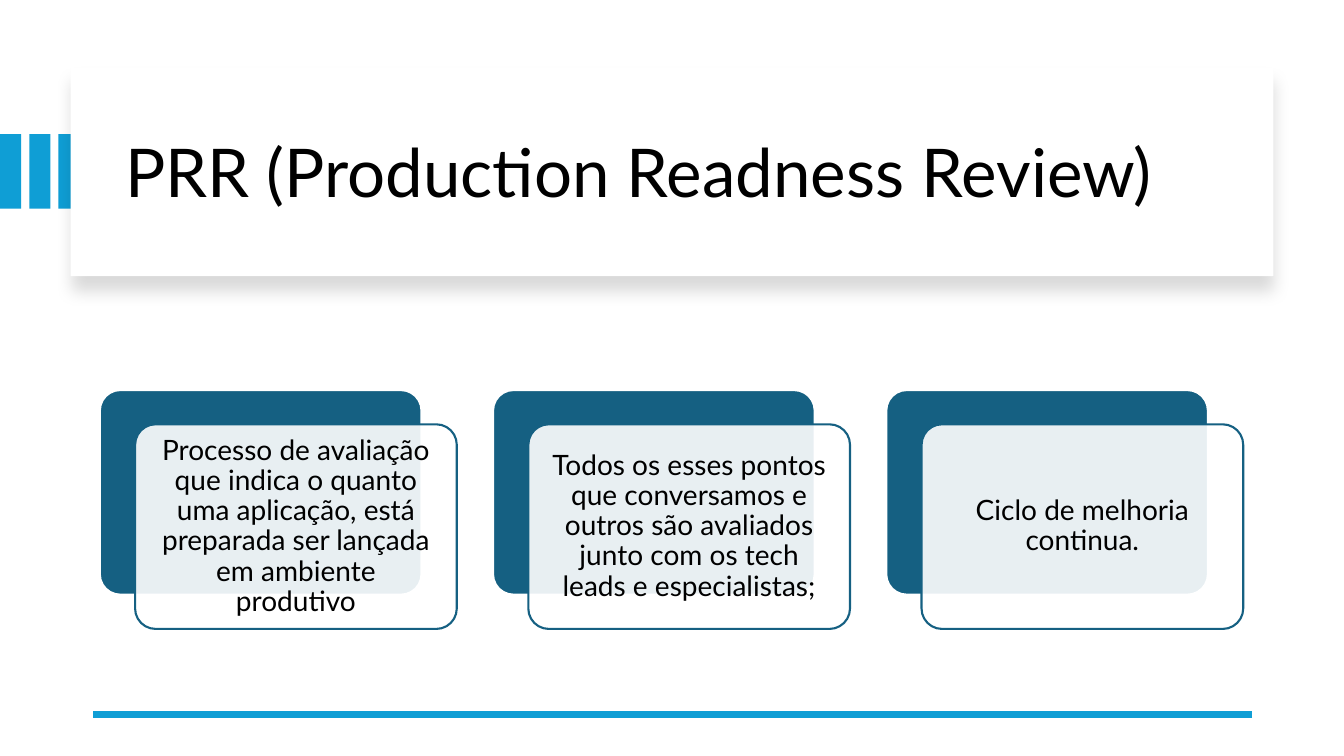
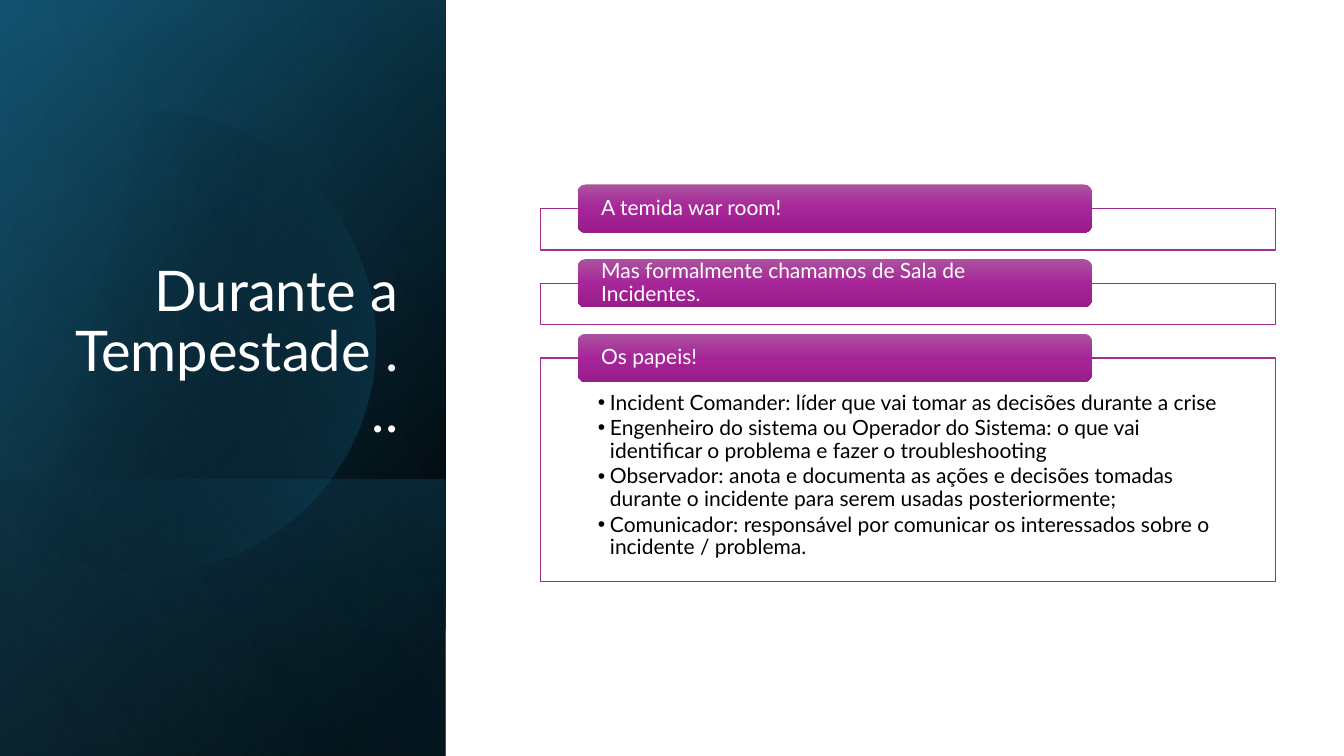
from math import acos, cos, pi, sin

from lxml.etree import SubElement
from pptx import Presentation
from pptx.dml.color import RGBColor
from pptx.enum.shapes import MSO_CONNECTOR, MSO_SHAPE
from pptx.enum.text import MSO_ANCHOR, MSO_AUTO_SIZE, PP_ALIGN
from pptx.oxml.ns import qn
from pptx.util import Pt

PX = 9144  # 100 px to the inch
PAGE_WIDTH, PAGE_HEIGHT = 1333, 750
FONT = "Lato"
NO_BREAK_SPACE = chr(160)

BLACK = RGBColor(0x00, 0x00, 0x00)
WHITE = RGBColor(0xFF, 0xFF, 0xFF)
SKY = RGBColor(0x0F, 0x9E, 0xD5)
TEAL = RGBColor(0x15, 0x60, 0x82)
DEEP_TEAL = RGBColor(0x10, 0x48, 0x62)
PALE_BLUE = RGBColor(0x46, 0xB1, 0xE1)
PURPLE = RGBColor(0xA0, 0x2B, 0x93)
TAG_STOPS = [
    (0, RGBColor(0xAC, 0x53, 0xA0), 100),
    (50, RGBColor(0xA6, 0x25, 0x98), 100),
    (100, RGBColor(0x99, 0x1C, 0x8B), 100),
]

CARDS = [
    "Processo de avaliação que indica o quanto uma aplicação, está preparada "
    "ser lançada em ambiente produtivo",
    "Todos os esses pontos que conversamos e outros são avaliados junto com "
    "os tech leads e especialistas;",
    "Ciclo de melhoria continua.",
]
ROLES = [
    "Incident Comander: líder que vai tomar as decisões durante a crise",
    "Engenheiro do sistema ou Operador do Sistema: o que vai identificar o "
    "problema e fazer o troubleshooting",
    "Observador: anota e documenta as ações e decisões tomadas durante o "
    "incidente para serem usadas posteriormente;",
    "Comunicador: responsável por comunicar os interessados sobre o "
    "incidente / problema.",
]
SECTIONS = [
    ("A temida war room!", []),
    ("Mas formalmente chamamos de Sala de Incidentes.", []),
    ("Os papeis!", ROLES),
]


def scaled(box):
    return [length * PX for length in box]


def place(shape, box):
    shape.left, shape.top, shape.width, shape.height = scaled(box)


def set_alpha(color, percent):
    SubElement(color, qn("a:alpha"), val=str(percent * 1000))


def paint(shape, fill, line=None, width=1, alpha=100):
    shape.fill.solid()
    shape.fill.fore_color.rgb = fill
    if alpha < 100:
        solid = shape.element.spPr.find(qn("a:solidFill"))
        set_alpha(solid.find(qn("a:srgbClr")), alpha)
    if line is None:
        shape.line.fill.background()
    else:
        shape.line.color.rgb = line
        shape.line.width = Pt(width)


def paint_gradient(shape, stops, angle):
    """Fill with (position, colour, opacity) stops; the angle runs clockwise."""
    shape.line.fill.background()
    shape.fill.gradient()
    shape.fill.gradient_angle = (360 - angle) % 360
    stop_list = shape.element.spPr.find(qn("a:gradFill")).find(qn("a:gsLst"))
    for stop in list(stop_list):
        stop_list.remove(stop)
    for position, color, opacity in stops:
        stop = SubElement(stop_list, qn("a:gs"), pos=str(position * 1000))
        set_alpha(SubElement(stop, qn("a:srgbClr"), val=str(color)), opacity)


def add_box(page, box, kind=MSO_SHAPE.RECTANGLE):
    shape = page.shapes.add_shape(kind, *scaled(box))
    shape.shadow.inherit = False
    return shape


def set_frame(shape, insets, anchor):
    frame = shape.text_frame
    frame.word_wrap = True
    frame.auto_size = MSO_AUTO_SIZE.NONE
    frame.vertical_anchor = anchor
    (frame.margin_left, frame.margin_top,
     frame.margin_right, frame.margin_bottom) = scaled(insets)
    return frame


def write(para, text, size, color, align=PP_ALIGN.LEFT, after=0):
    para.alignment = align
    para.line_spacing = 0.9
    para.space_before = Pt(0)
    para.space_after = Pt(after)
    span = para.add_run()
    span.text = text
    span.font.name = FONT
    span.font.size = Pt(size)
    span.font.color.rgb = color


def set_title(page, box, text, size, color, align, anchor):
    title = page.shapes.title
    place(title, box)
    frame = set_frame(title, (10, 5, 10, 5), anchor)
    write(frame.paragraphs[0], text, size, color, align)
    page.shapes.element.append(title.element)  # in front of its backdrop


def add_banner(page, box):
    """Sky-blue stripes running under a white panel with a soft shadow."""
    left, top, width, height = box
    for index in range(3):
        paint(add_box(page, (index * 29, top + 66, 21, 74)), SKY)
    panel = add_box(page, box)
    paint(panel, WHITE)
    effects = panel.element.spPr.find(qn("a:effectLst"))
    shadow = SubElement(
        effects, qn("a:outerShdw"), blurRad=str(Pt(11)), dist=str(Pt(10)),
        dir=str(90 * 60000), algn="t", rotWithShape="0")
    set_alpha(SubElement(shadow, qn("a:srgbClr"), val=str(BLACK)), 15)
    set_title(page, (left + 44, top + 22, width - 80, height - 37),
              "PRR (Production Readness Review)", 48, BLACK,
              PP_ALIGN.LEFT, MSO_ANCHOR.MIDDLE)


def add_rule(page, left, right, y):
    rule = page.shapes.add_connector(
        MSO_CONNECTOR.STRAIGHT, *scaled((right, y, left, y)))
    rule.line.color.rgb = SKY
    rule.line.width = Pt(4.5)
    SubElement(rule.element.spPr, qn("a:effectLst"))


def add_card(page, box, text):
    left, top, width, height = box
    back = add_box(page, box, MSO_SHAPE.ROUNDED_RECTANGLE)
    paint(back, TEAL, WHITE, 1.5)
    front = add_box(page, (left + 35, top + 34, width, height),
                    MSO_SHAPE.ROUNDED_RECTANGLE)
    paint(front, WHITE, TEAL, 1.5, alpha=90)
    back.adjustments[0] = front.adjustments[0] = 0.1
    frame = set_frame(front, (14, 14, 14, 14), MSO_ANCHOR.MIDDLE)
    write(frame.paragraphs[0], text, 20, BLACK, PP_ALIGN.CENTER)


def add_turned_layer(page, box, stops, angle):
    """Cover the box with a mirrored rectangle given a quarter turn."""
    left, top, width, height = box
    shift = (width - height) // 2
    layer = add_box(page, (left + shift, top - shift, height, width))
    layer.rotation = 90
    layer.element.spPr.xfrm.set("flipH", "1")
    paint_gradient(layer, stops, angle)


def add_clipped_disc(page, edge, center_x, center_y, radius):
    """Draw the part of a disc that lies to the right of the edge."""
    limit = acos((edge - center_x) / radius)
    steps = 90
    angles = [-limit + 2 * limit * step / steps for step in range(steps + 1)]
    points = [(round((center_x + radius * cos(angle)) * PX),
               round((center_y + radius * sin(angle)) * PX))
              for angle in angles]
    builder = page.shapes.build_freeform(*points[0])
    builder.add_line_segments(points[1:], close=True)
    disc = builder.convert_to_shape()
    disc.shadow.inherit = False
    paint_gradient(disc, [(29, BLACK, 0), (100, TEAL, 43)], 14)


def add_side_panel(page, box):
    left, top, width, height = box
    foot = 274
    add_turned_layer(page, box, [(8, BLACK, 100), (100, DEEP_TEAL, 100)], 50)
    add_turned_layer(page, box, [(0, BLACK, 0), (99, TEAL, 46)], 30)
    add_turned_layer(page, (left, top + height - foot, width, foot),
                     [(2, TEAL, 29), (100, BLACK, 30)], 130)
    add_clipped_disc(page, left, left + 143, top + 339, 229)
    add_turned_layer(page, box, [(0, BLACK, 0), (99, PALE_BLUE, 11)], 120)
    set_title(page, (left + 64, top + 184, 341, 262),
              f"Durante a Tempestade{NO_BREAK_SPACE}...", 40, WHITE,
              PP_ALIGN.RIGHT, MSO_ANCHOR.BOTTOM)


def fill_list(body, items):
    frame = set_frame(body, (57, 34, 57, 12), MSO_ANCHOR.TOP)
    for index, item in enumerate(items):
        para = frame.add_paragraph() if index else frame.paragraphs[0]
        write(para, item, 15, BLACK, after=2)
        settings = para._p.get_or_add_pPr()
        settings.set("marL", str(12 * PX))
        settings.set("indent", str(-12 * PX))
        SubElement(settings, qn("a:buChar"), char="•")


def add_section(page, box, heading, items):
    """Outlined box with a tag on its top edge; items go in the body."""
    left, top, width, height = box
    if items:
        outline = page.placeholders[1]
        place(outline, box)
        fill_list(outline, items)
    else:
        outline = add_box(page, box)
    paint(outline, WHITE, PURPLE, 1, alpha=90)
    tag = add_box(page, (left + 37, top - 24, 510, 48),
                  MSO_SHAPE.ROUNDED_RECTANGLE)
    paint_gradient(tag, TAG_STOPS, 90)
    frame = set_frame(tag, (21, 2, 21, 2), MSO_ANCHOR.MIDDLE)
    write(frame.paragraphs[0], heading, 15, WHITE)


def add_review_page(deck):
    page = deck.slides.add_slide(deck.slide_layouts.get_by_name("Title Only"))
    add_banner(page, (70, 67, 1193, 207))
    add_rule(page, 92, 1242, 709)
    for index, text in enumerate(CARDS):
        add_card(page, (99 + index * 390, 387, 319, 203), text)


def add_incident_page(deck):
    layout = deck.slide_layouts.get_by_name("Title and Content")
    page = deck.slides.add_slide(layout)
    add_side_panel(page, (0, 0, 442, PAGE_HEIGHT))
    top = 207
    for heading, items in SECTIONS:
        height = 222 if items else 41
        add_section(page, (536, top, 729, height), heading, items)
        top += height + 33


def main():
    deck = Presentation()
    deck.slide_width, deck.slide_height = scaled((PAGE_WIDTH, PAGE_HEIGHT))
    add_review_page(deck)
    add_incident_page(deck)
    deck.save("out.pptx")


if __name__ == "__main__":
    main()
